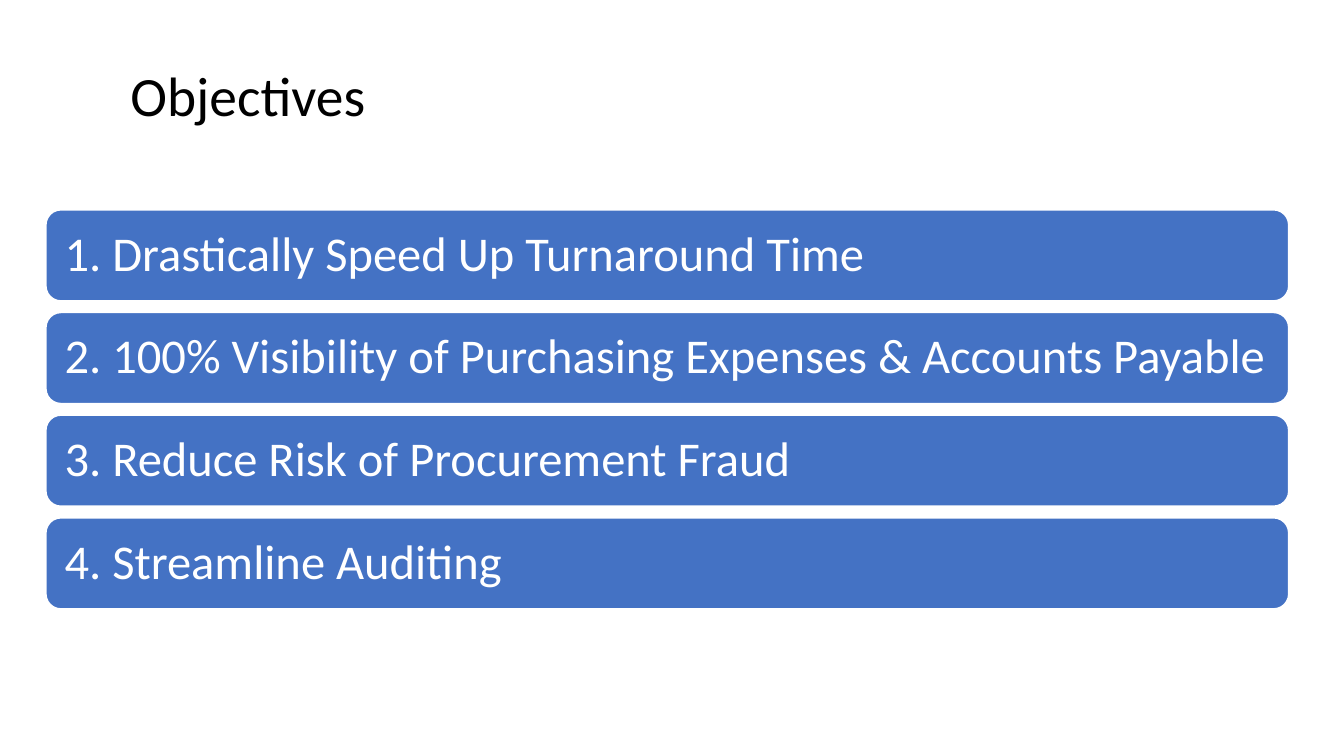
from pptx import Presentation
from pptx.dml.color import RGBColor
from pptx.enum.shapes import MSO_SHAPE
from pptx.enum.text import MSO_ANCHOR, PP_ALIGN
from pptx.util import Pt

BLACK = RGBColor(0x00, 0x00, 0x00)
WHITE = RGBColor(0xFF, 0xFF, 0xFF)
BLUE = RGBColor(0x44, 0x72, 0xC4)
FONT = "Calibri"

OBJECTIVES = [
    "1. Drastically Speed Up Turnaround Time",
    "2. 100% Visibility of Purchasing Expenses & Accounts Payable",
    "3. Reduce Risk of Procurement Fraud",
    "4. Streamline Auditing",
]


def write_text(shape, text, *, size, color, anchor, insets):
    """Fill a shape with one left-aligned paragraph; insets are left, top, right, bottom."""
    frame = shape.text_frame
    frame.word_wrap = True
    frame.vertical_anchor = anchor
    (frame.margin_left, frame.margin_top,
     frame.margin_right, frame.margin_bottom) = [Pt(inset) for inset in insets]
    paragraph = frame.paragraphs[0]
    paragraph.alignment = PP_ALIGN.LEFT
    paragraph.line_spacing = 0.9
    run = paragraph.add_run()
    run.text = text
    run.font.name = FONT
    run.font.size = Pt(size)
    run.font.color.rgb = color


def place_title(slide, text, left, top, width, height):
    """Move the title placeholder into the given box and write the heading."""
    title = slide.shapes.title
    title.left, title.top = Pt(left), Pt(top)
    title.width, title.height = Pt(width), Pt(height)
    write_text(title, text, size=29.7, color=BLACK,
               anchor=MSO_ANCHOR.TOP, insets=(7.2, 7.2, 7.2, 7.2))


def add_objective_bars(slide, objectives, left, top, width, height, gap=6):
    """Stack equal rounded bars, one per objective, to fill the given box."""
    bar_height = (height - gap * (len(objectives) - 1)) / len(objectives)
    for index, objective in enumerate(objectives):
        bar_top = top + index * (bar_height + gap)
        bar = slide.shapes.add_shape(
            MSO_SHAPE.ROUNDED_RECTANGLE,
            Pt(left), Pt(bar_top), Pt(width), Pt(bar_height))
        bar.shadow.inherit = False
        bar.fill.solid()
        bar.fill.fore_color.rgb = BLUE
        bar.line.color.rgb = WHITE
        bar.line.width = Pt(1)
        write_text(bar, objective, size=26, color=WHITE,
                   anchor=MSO_ANCHOR.MIDDLE, insets=(7.7, 5, 5, 5))


def build_objectives_slide(presentation):
    """Add the slide with its heading and the list of objectives."""
    slide = presentation.slides.add_slide(presentation.slide_layouts[5])
    place_title(slide, "Objectives", 62.64, 29.5, 671, 47.5)
    add_objective_bars(slide, OBJECTIVES, 24.5, 112.3, 666, 214)


presentation = Presentation()
presentation.slide_width = Pt(720)
presentation.slide_height = Pt(405)
build_objectives_slide(presentation)
presentation.save("out.pptx")
